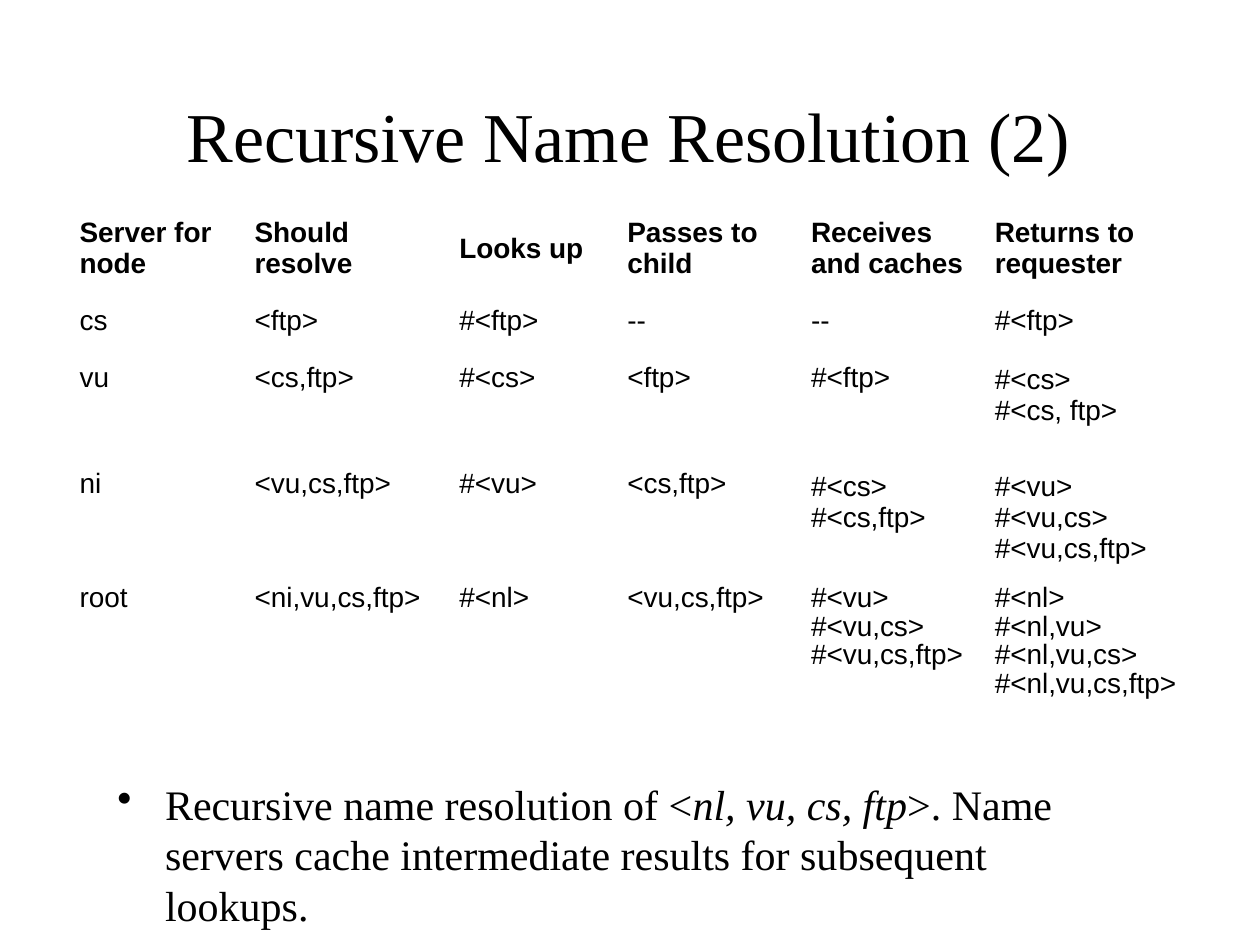
"""Build the slide on recursive name resolution."""
from dataclasses import dataclass

from lxml import etree
from pptx import Presentation
from pptx.dml.color import RGBColor
from pptx.enum import text
from pptx.oxml import ns
from pptx.util import Pt


@dataclass(frozen=True)
class Theme:
    ink: RGBColor = RGBColor(0, 0, 0)
    serif: str = "Times New Roman"
    sans: str = "Arial"
    title: int = 40
    body: int = 24
    table: int = 16


theme = Theme()


def style(p, font, size, bold=False):
    p.font.name = font
    p.font.size = Pt(size)
    p.font.bold = bold
    p.font.color.rgb = theme.ink


def set_insets(tf, left=0, top=0, right=0, bottom=0):
    tf.margin_left, tf.margin_top = Pt(left), Pt(top)
    tf.margin_right, tf.margin_bottom = Pt(right), Pt(bottom)


prs = Presentation()
prs.slide_width, prs.slide_height = Pt(720), Pt(540)
s = prs.slides.add_slide(prs.slide_layouts[5])

title = s.shapes.title
title.left, title.top, title.width, title.height = Pt(105.5), Pt(51), Pt(507), Pt(50)
tf = title.text_frame
tf.text = "Recursive Name Resolution (2)"
tf.auto_size = text.MSO_AUTO_SIZE.NONE
tf.vertical_anchor = text.MSO_ANCHOR.BOTTOM
set_insets(tf)
p = tf.paragraphs[0]
p.alignment = text.PP_ALIGN.CENTER
style(p, theme.serif, theme.title)

columns = [100, 117, 96, 105, 105, 109]
rows = [
    (44, 0, ["Server for\vnode", "Should\vresolve", "Looks up",
             "Passes to\vchild", "Receives\vand caches", "Returns to\vrequester"]),
    (33, 6.6, ["cs", "<ftp>", "#<ftp>", "--", "--", "#<ftp>"]),
    (55.5, 5.9, ["vu", "<cs,ftp>", "#<cs>", "<ftp>", "#<ftp>", "#<cs>\v#<cs, ftp>"]),
    (72, 11.2, ["ni", "<vu,cs,ftp>", "#<vu>", "<cs,ftp>",
                "#<cs>\v#<cs,ftp>", "#<vu>\v#<vu,cs>\v#<vu,cs,ftp>"]),
    (77, 4.1, ["root", "<ni,vu,cs,ftp>", "#<nl>", "<vu,cs,ftp>",
               "#<vu>\v#<vu,cs>\v#<vu,cs,ftp>",
               "#<nl>\v#<nl,vu>\v#<nl,vu,cs>\v#<nl,vu,cs,ftp>"]),
]
frame = s.shapes.add_table(len(rows), len(columns), Pt(43.5), Pt(124),
                           Pt(sum(columns)), Pt(sum(row[0] for row in rows)))
table = frame.table
table.horz_banding = False
for column, width in zip(table.columns, columns):
    column.width = Pt(width)
for i, (height, inset, values) in enumerate(rows):
    table.rows[i].height = Pt(height)
    header = i == 0
    for cell, value in zip(table.rows[i].cells, values):
        multiline = "\v" in value
        cell.fill.background()
        cell.text = value
        set_insets(cell, left=2, top=inset + (1.6 if multiline and not header else 0),
                   bottom=8 if header else 0)
        cell.vertical_anchor = text.MSO_ANCHOR.MIDDLE if header else text.MSO_ANCHOR.TOP
        p = cell.text_frame.paragraphs[0]
        style(p, theme.sans, theme.table, bold=header)
        if multiline:
            p.line_spacing = Pt(16.4 if i == len(rows) - 1 else 17.7)

sp = s.shapes.add_textbox(Pt(67), Pt(443.5), Pt(536.5), Pt(88.5))
tf = sp.text_frame
tf.word_wrap = True
set_insets(tf, top=1)
p = tf.paragraphs[0]
style(p, theme.serif, theme.body)
p.line_spacing = Pt(29)
for words, italic in [("Recursive name resolution of <", False), ("nl, vu, cs, ftp", True),
                      (">. Name servers cache intermediate results for subsequent lookups.",
                       False)]:
    r = p.add_run()
    r.text = words
    r.font.italic = italic
pPr = p._p.get_or_add_pPr()
pPr.set("marL", str(Pt(27.3)))
pPr.set("indent", str(-Pt(27.3)))
bullet = etree.Element(ns.qn("a:buChar"), char="•")
pPr.find(ns.qn("a:defRPr")).addprevious(bullet)

prs.save("out.pptx")
